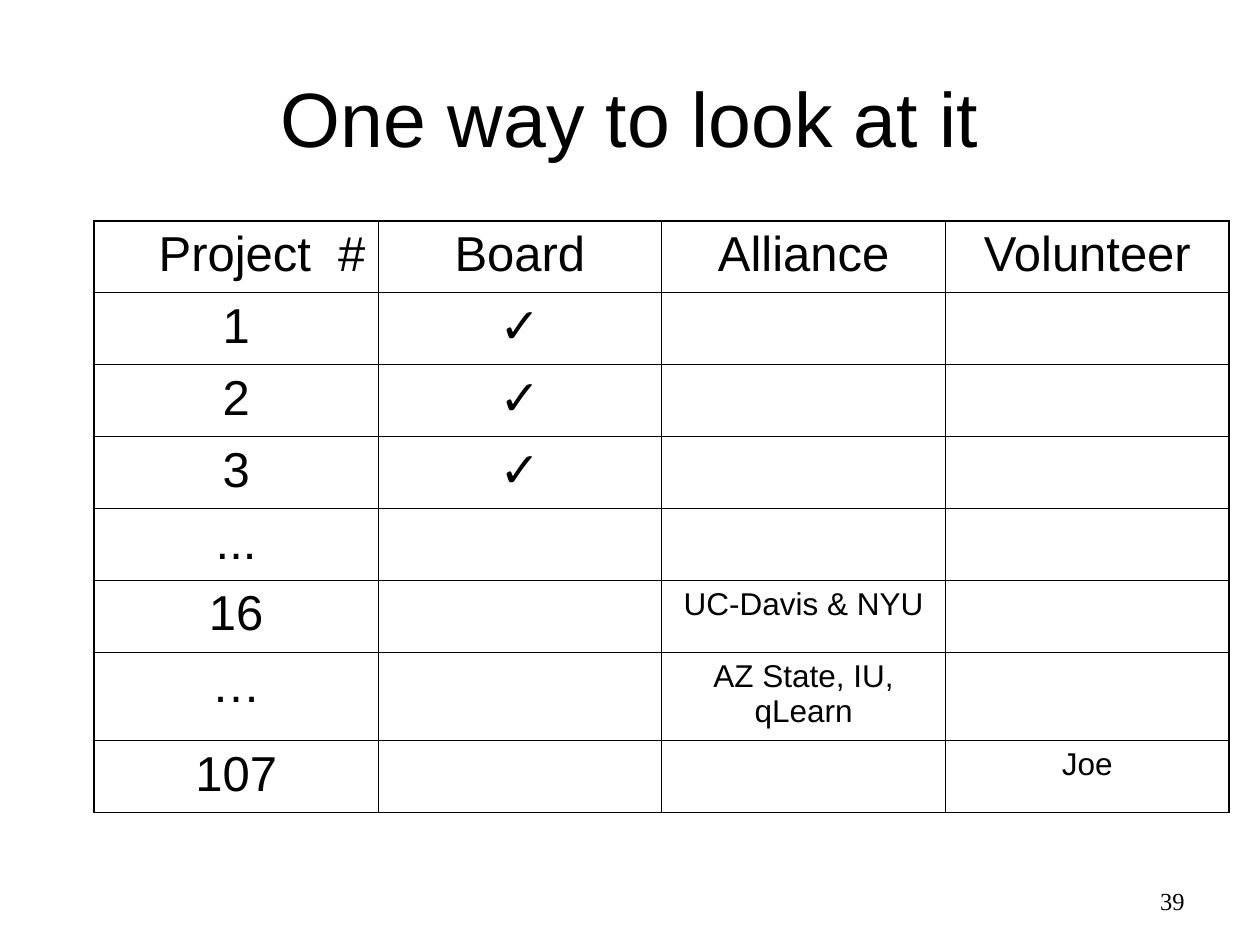
"""Build the slide that sorts projects by who looks after them."""
from dataclasses import dataclass

import pptx
import pptx.dml.color
import pptx.enum.text
import pptx.oxml
import pptx.oxml.ns
import pptx.util
from pptx.util import Cm

ALIGN = pptx.enum.text.PP_ALIGN
ANCHOR = pptx.enum.text.MSO_ANCHOR
BLACK = "000000"
THIN, THICK = 0.45, 1.08
COL_WIDTH, ROW_HEIGHT, TALL_ROW = 5.72, 1.45, 1.78


@dataclass
class Style:
    size: float
    align: ALIGN = ALIGN.CENTER
    before: float = 0
    font: str = "Arial"


TITLE = Style(44)
ENTRY = Style(28, before=7)
CORNER = Style(28, ALIGN.RIGHT, before=7)
NAME = Style(18, before=4.5)
NUMBER = Style(14, ALIGN.RIGHT, font="Times New Roman")


@dataclass
class Row:
    project: str
    board: str = ""
    alliance: str = ""
    volunteer: str = ""
    height: float = ROW_HEIGHT


ROWS = [
    Row("Project  #", "Board", "Alliance", "Volunteer"),
    Row("1", "✓"),
    Row("2", "✓"),
    Row("3", "✓"),
    Row("..."),
    Row("16", alliance="UC-Davis & NYU"),
    Row("…", alliance="AZ State, IU, qLearn", height=TALL_ROW),
    Row("107", volunteer="Joe"),
]


def rgb(color: str) -> pptx.dml.color.RGBColor:
    return pptx.dml.color.RGBColor.from_string(color)


def write(tf, text: str, style: Style) -> None:
    tf.text = text
    p = tf.paragraphs[0]
    p.alignment = style.align
    p.space_before = pptx.util.Pt(style.before)
    for r in p.runs:
        r.font.size = pptx.util.Pt(style.size)
        r.font.name = style.font
        r.font.color.rgb = rgb(BLACK)


def set_border(cell, side: str, width: float) -> None:
    ns = pptx.oxml.ns.nsdecls("a")
    cell._tc.get_or_add_tcPr().append(pptx.oxml.parse_xml(
        f'<a:ln{side} {ns} w="{pptx.util.Pt(width)}"><a:solidFill>'
        f'<a:srgbClr val="{BLACK}"/></a:solidFill></a:ln{side}>'))


def pick_style(i: int, j: int) -> Style:
    if i == j == 0:
        return CORNER
    return NAME if i and j > 1 else ENTRY


def add_project_table(s, rows: list[Row]) -> None:
    cells = [[row.project, row.board, row.alliance, row.volunteer] for row in rows]
    n_rows, n_cols = len(cells), len(cells[0])
    height = sum(row.height for row in rows)
    table = s.shapes.add_table(n_rows, n_cols, Cm(1.9), Cm(4.45),
                               Cm(n_cols * COL_WIDTH), Cm(height)).table
    table.first_row = table.horz_banding = False
    for column in table.columns:
        column.width = Cm(COL_WIDTH)
    for i, row in enumerate(rows):
        table.rows[i].height = Cm(row.height)
        for j, text in enumerate(cells[i]):
            cell = table.cell(i, j)
            outer = {"L": j == 0, "R": j == n_cols - 1,
                     "T": i == 0, "B": i == n_rows - 1}
            for side, is_outer in outer.items():
                set_border(cell, side, THICK if is_outer else THIN)
            cell.fill.background()
            if text:
                write(cell.text_frame, text, pick_style(i, j))


def main() -> None:
    prs = pptx.Presentation()
    prs.slide_width, prs.slide_height = Cm(25.4), Cm(19.05)
    s = prs.slides.add_slide(prs.slide_layouts[5])

    title = s.shapes.title
    title.left, title.top = Cm(1.27), Cm(0.76)
    title.width, title.height = Cm(22.86), Cm(3.18)
    title.text_frame.vertical_anchor = ANCHOR.MIDDLE
    write(title.text_frame, "One way to look at it", TITLE)

    add_project_table(s, ROWS)

    number = s.shapes.add_textbox(Cm(18.21), Cm(17.73), Cm(5.92), Cm(1.32))
    number.text_frame.word_wrap = True
    write(number.text_frame, "39", NUMBER)

    prs.save("out.pptx")


if __name__ == "__main__":
    main()
